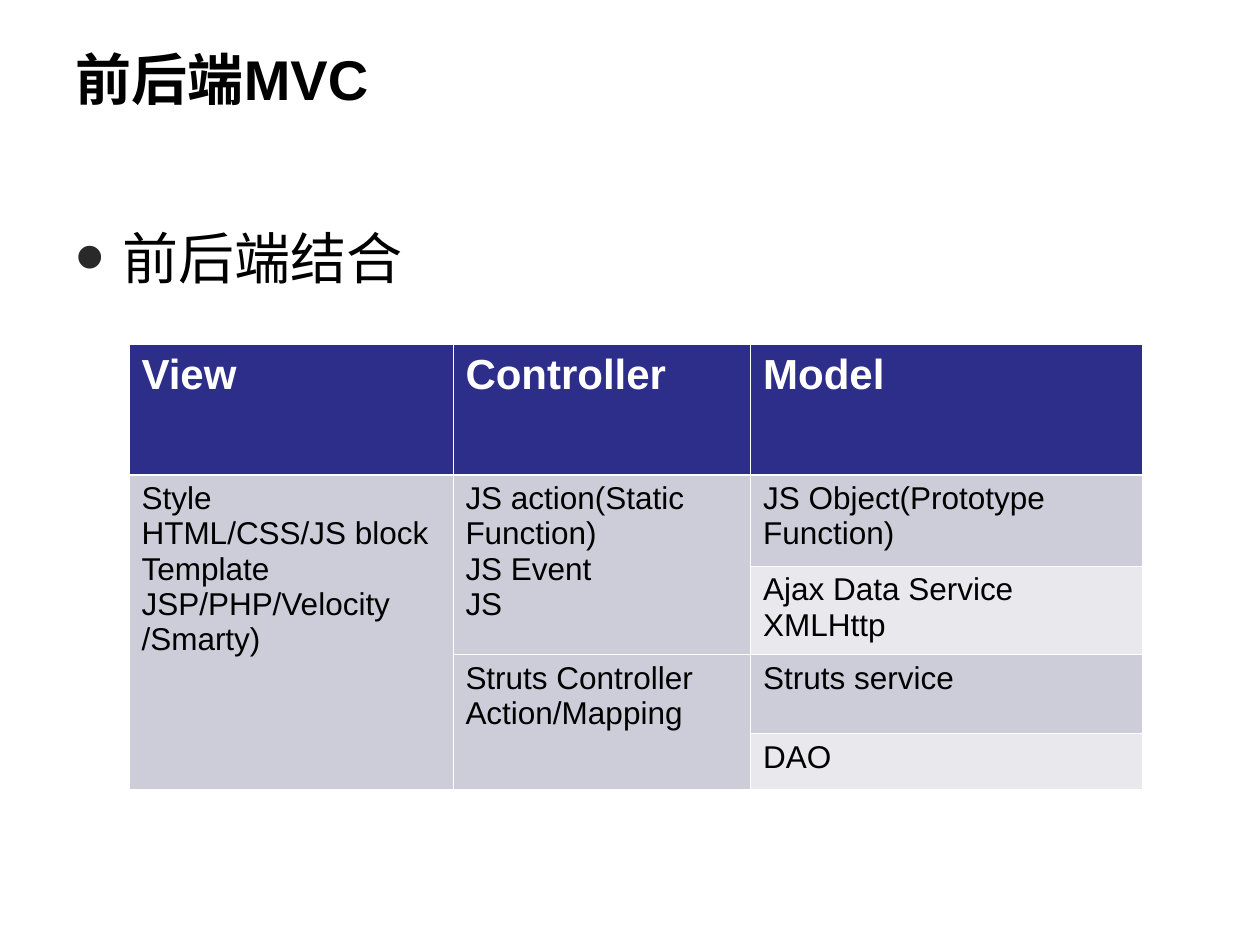
import pptx
import pptx.dml.color
import pptx.enum.text
import pptx.oxml
import pptx.oxml.ns
import pptx.util

Cm = pptx.util.Cm
Pt = pptx.util.Pt
WHITE, BLACK, NAVY = "FFFFFF", "000000", "2D2D8A"
DARK, LIGHT = "CDCDDA", "E8E8ED"

COLS = [6.53, 6, 7.9]
ROWS = [2.62, 1.84, 1.78, 1.59, 1.14]
HEADS = ["View", "Controller", "Model"]
# row, column, rows spanned, fill, lines
CELLS = [
    (1, 0, 4, DARK, ["Style", "HTML/CSS/JS block", "Template",
                     "JSP/PHP/Velocity", "/Smarty)"]),
    (1, 1, 2, DARK, ["JS action(Static Function)", "JS Event", "JS"]),
    (3, 1, 2, DARK, ["Struts Controller", "Action/Mapping"]),
    (1, 2, 1, DARK, ["JS Object(Prototype Function)"]),
    (2, 2, 1, LIGHT, ["Ajax Data Service", "XMLHttp"]),
    (3, 2, 1, DARK, ["Struts service"]),
    (4, 2, 1, LIGHT, ["DAO"]),
]


def rgb(code):
    return pptx.dml.color.RGBColor.from_string(code)


def node(text):
    """Parse one XML element in the drawing namespace."""
    tag, rest = text.split(" ", 1)
    space = pptx.oxml.ns.nsdecls("a")
    return pptx.oxml.parse_xml(f"<a:{tag} {space} {rest}")


class Deck:
    face = "Arial"

    def __init__(self, wide, high):
        self.file = pptx.Presentation()
        self.file.slide_width = Cm(wide)
        self.file.slide_height = Cm(high)
        self.slide = self.file.slides.add_slide(self.file.slide_layouts[1])

    def label(self, frame, lines, size, color=BLACK, bold=False):
        frame.text = "\n".join(lines)
        for para in frame.paragraphs:
            font = para.font
            font.name, font.size, font.bold = self.face, Pt(size), bold
            font.color.rgb = rgb(color)

    def place(self, shape, box):
        shape.left, shape.top, shape.width, shape.height = map(Cm, box)
        frame = shape.text_frame
        frame.auto_size = pptx.enum.text.MSO_AUTO_SIZE.NONE
        frame.vertical_anchor = pptx.enum.text.MSO_ANCHOR.TOP
        return frame

    def title(self, text, box):
        frame = self.place(self.slide.shapes.title, box)
        self.label(frame, [text], 32, bold=True)
        frame.paragraphs[0].alignment = pptx.enum.text.PP_ALIGN.LEFT

    def list(self, lines, box):
        frame = self.place(self.slide.placeholders[1], box)
        self.label(frame, lines, 32)
        for para in frame.paragraphs:
            para.alignment = pptx.enum.text.PP_ALIGN.JUSTIFY
            para.space_before = Pt(8)
            props = para._p.get_or_add_pPr()
            props.set("marL", str(Cm(0.95)))
            props.set("indent", str(-Cm(0.95)))
            last = props.find(pptx.oxml.ns.qn("a:defRPr"))
            for text in ('buClr ><a:srgbClr val="292929"/></a:buClr>',
                         'buSzPct val="150000"/>',
                         'buFont typeface="Arial"/>',
                         'buChar char="•"/>'):
                last.addprevious(node(text))

    def edge(self, cell, row):
        """Draw white borders, thicker between head and body."""
        thick = {0: "B", 1: "T"}.get(row)
        for side in "LRTB":
            width = Pt(1.47 if side == thick else 0.45)
            cell._tc.get_or_add_tcPr().append(node(
                f'ln{side} w="{width}"><a:solidFill><a:srgbClr val="{WHITE}"/>'
                f'</a:solidFill></a:ln{side}>'))

    def paint(self, cell, fill):
        cell.fill.solid()
        cell.fill.fore_color.rgb = rgb(fill)

    def table(self, left, top, cols, rows, heads, cells):
        grid = self.slide.shapes.add_table(
            len(rows), len(cols), Cm(left), Cm(top),
            Cm(sum(cols)), Cm(sum(rows))).table
        grid.horz_banding = False
        for col, width in zip(grid.columns, cols):
            col.width = Cm(width)
        for row, high in enumerate(rows):
            grid.rows[row].height = Cm(high)
            for cell in grid.rows[row].cells:
                self.edge(cell, row)
                self.paint(cell, DARK if row else NAVY)
        for col, head in enumerate(heads):
            self.label(grid.cell(0, col).text_frame, [head], 24, WHITE, True)
        for row, col, span, fill, lines in cells:
            cell = grid.cell(row, col)
            if span > 1:
                cell.merge(grid.cell(row + span - 1, col))
            self.paint(cell, fill)
            self.label(cell.text_frame, lines, 18)


def main():
    deck = Deck(25.4, 19.05)
    deck.title("前后端MVC", (1.27, 0.76, 22.86, 3.18))
    deck.list(["前后端结合"], (1.27, 4.37, 22.86, 12.57))
    deck.table(2.6, 6.95, COLS, ROWS, HEADS, CELLS)
    deck.file.save("out.pptx")


if __name__ == "__main__":
    main()
